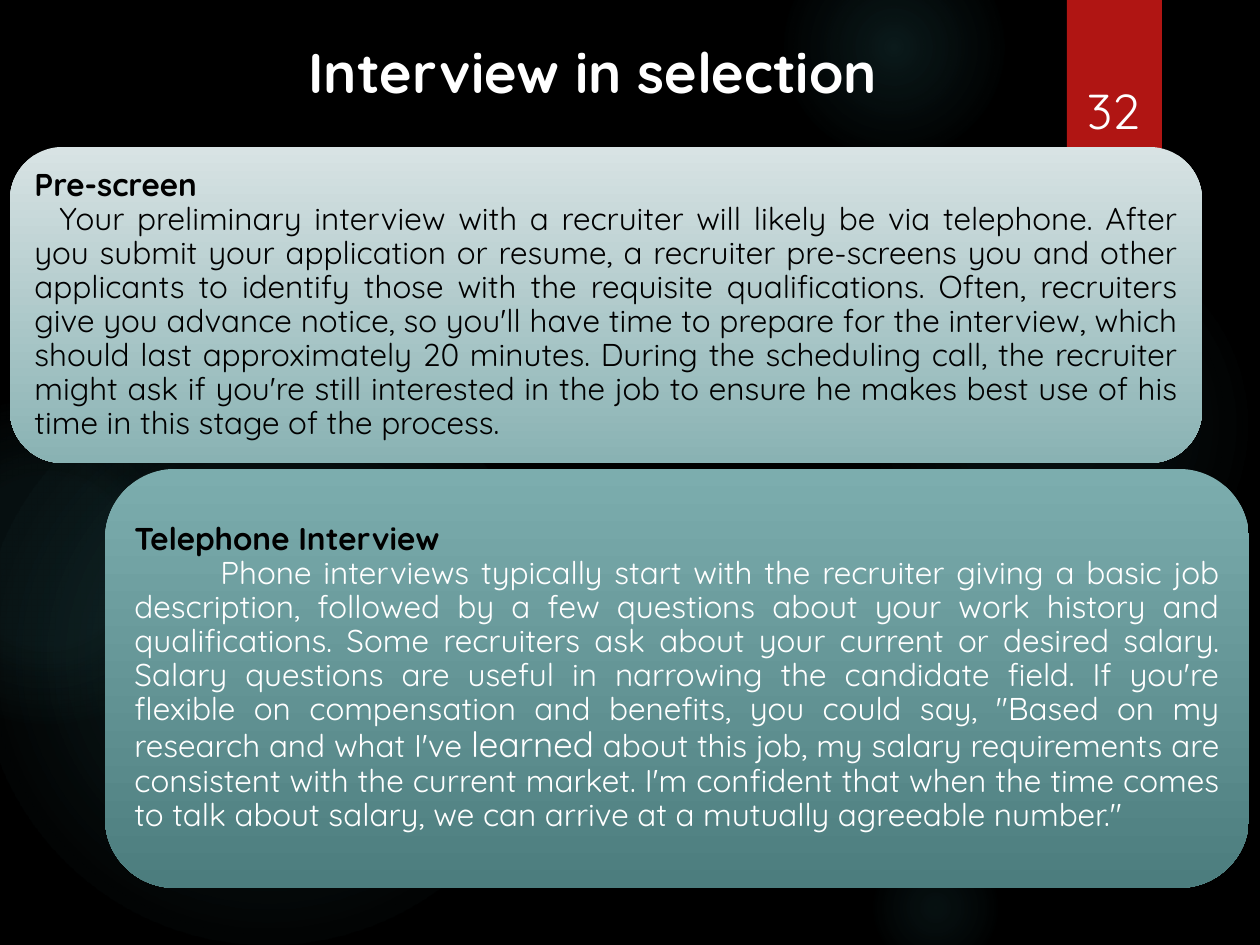
from lxml.etree import SubElement
from pptx import Presentation
from pptx.dml.color import RGBColor
from pptx.enum.shapes import MSO_SHAPE as Shape
from pptx.enum.text import MSO_ANCHOR as Anchor, MSO_AUTO_SIZE as AutoSize, PP_ALIGN as Align
from pptx.oxml.ns import qn
from pptx.util import Pt

PX = 914400 // 126
FONT = "Quicksand"
WHITE, BLACK, RED, GLOW = "FFFFFF", "000000", "B01513", "50B9C1"

TITLE = ("Interview in selection", (10, 31, 1166, 81))
BADGE = (1067, 0, 95, 151)
NUMBER = ("32", (1070, 40, 87, 106))

GLOWS = [
    (868, 231, 388, [(0, 7), (36, 6), (69, 0)]),
    (784, -63, 220, [(0, 14), (36, 7), (73, 0)]),
    (868, 840, 136, [(0, 9), (36, 5), (66, 0)]),
    (-21, 368, 577, [(0, 11), (36, 10), (75, 0)]),
    (-116, 399, 325, [(0, 8), (36, 8), (72, 0)]),
]

CARDS = [
    {
        "place": (105, 469, 1144, 419),
        "shades": ("7CADAE", "4C7D7E"),
        "heading": "Telephone Interview",
        "indent": 86,
        "color": WHITE,
        "body": [
            ("Phone interviews typically start with the recruiter giving a basic job "
             "description, followed by a few questions about your work history and "
             "qualifications. Some recruiters ask about your current or desired salary. "
             "Salary questions are useful in narrowing the candidate field. If you're "
             "flexible on compensation and benefits, you could say, \"Based on my "
             "research and what I've ", 18),
            ("learned", 20),
            (" about this job, my salary requirements are consistent with the current "
             "market. I'm confident that when the time comes to talk about salary, we "
             "can arrive at a mutually agreeable number.\"", 18),
        ],
    },
    {
        "place": (10, 147, 1192, 316),
        "shades": ("D8E3E4", "89B2B3"),
        "heading": "Pre-screen",
        "indent": 25,
        "color": BLACK,
        "body": [
            ("Your preliminary interview with a recruiter will likely be via telephone. "
             "After you submit your application or resume, a recruiter pre-screens you "
             "and other applicants to identify those with the requisite qualifications. "
             "Often, recruiters give you advance notice, so you'll have time to prepare "
             "for the interview, which should last approximately 20 minutes. During the "
             "scheduling call, the recruiter might ask if you're still interested in the "
             "job to ensure he makes best use of his time in this stage of the process.", 18),
        ],
    },
]


def rgb(value):
    return RGBColor.from_string(value)


def emu(place):
    return [length * PX for length in place]


def style(font, size, color, bold=False):
    font.name, font.size, font.bold = FONT, Pt(size), bold
    font.color.rgb = rgb(color)


def add_shape(page, kind, place):
    shape = page.shapes.add_shape(kind, *emu(place))
    shape.shadow.inherit = False
    shape.line.fill.background()
    return shape


def add_glow(page, left, top, size, stops):
    glow = add_shape(page, Shape.OVAL, (left, top, size, size))
    glow.fill.gradient()
    gradient = glow.element.spPr.find(qn("a:gradFill"))
    for child in list(gradient):
        gradient.remove(child)
    stop_list = SubElement(gradient, qn("a:gsLst"))
    for position, opacity in stops:
        stop = SubElement(stop_list, qn("a:gs"), pos=str(position * 1000))
        color = SubElement(stop, qn("a:srgbClr"), val=GLOW)
        SubElement(color, qn("a:alpha"), val=str(opacity * 1000))
    circle = SubElement(gradient, qn("a:path"), path="circle")
    SubElement(circle, qn("a:fillToRect"), dict.fromkeys("ltrb", "50000"))


def write_line(box, text, size, anchor, bold=False):
    frame = box.text_frame
    frame.word_wrap, frame.auto_size = True, AutoSize.NONE
    frame.vertical_anchor = anchor
    para = frame.paragraphs[0]
    para.text, para.alignment = text, Align.CENTER
    style(para.font, size, WHITE, bold)


def add_card(page, card):
    shape = add_shape(page, Shape.ROUNDED_RECTANGLE, card["place"])
    shape.fill.gradient()
    shape.fill.gradient_angle = 270
    for stop, shade in zip(shape.fill.gradient_stops, card["shades"]):
        stop.color.rgb = rgb(shade)

    frame = shape.text_frame
    frame.word_wrap, frame.vertical_anchor = True, Anchor.MIDDLE
    frame.margin_left = frame.margin_right = 9 * PX
    frame.margin_top = frame.margin_bottom = 9 * PX

    heading, body = frame.paragraphs[0], frame.add_paragraph()
    heading.text, heading.alignment = card["heading"], Align.LEFT
    style(heading.font, 18, BLACK, True)
    body.alignment = Align.JUSTIFY
    body.element_props = body.font
    for para in (heading, body):
        para.line_spacing = 0.9
    for text, size in card["body"]:
        span = body.add_run()
        span.text = text
        style(span.font, size, card["color"])
    body.font.size = Pt(18)
    shape.element.txBody.findall(qn("a:p"))[1].find(qn("a:pPr")).set(
        "indent", str(card["indent"] * PX))


def main():
    deck = Presentation()
    deck.slide_width, deck.slide_height = emu((1260, 945))
    page = deck.slides.add_slide(deck.slide_layouts[5])
    page.background.fill.solid()
    page.background.fill.fore_color.rgb = rgb(BLACK)

    for glow in GLOWS:
        add_glow(page, *glow)

    badge = add_shape(page, Shape.RECTANGLE, BADGE)
    badge.fill.solid()
    badge.fill.fore_color.rgb = rgb(RED)

    text, place = NUMBER
    number = page.shapes.add_textbox(*emu(place))
    write_line(number, text, 28, Anchor.BOTTOM)

    text, place = TITLE
    title = page.shapes.title
    title.left, title.top, title.width, title.height = emu(place)
    write_line(title, text, 32, Anchor.TOP, True)
    number.element.addnext(title.element)

    for card in CARDS:
        add_card(page, card)

    deck.save("out.pptx")


if __name__ == "__main__":
    main()
